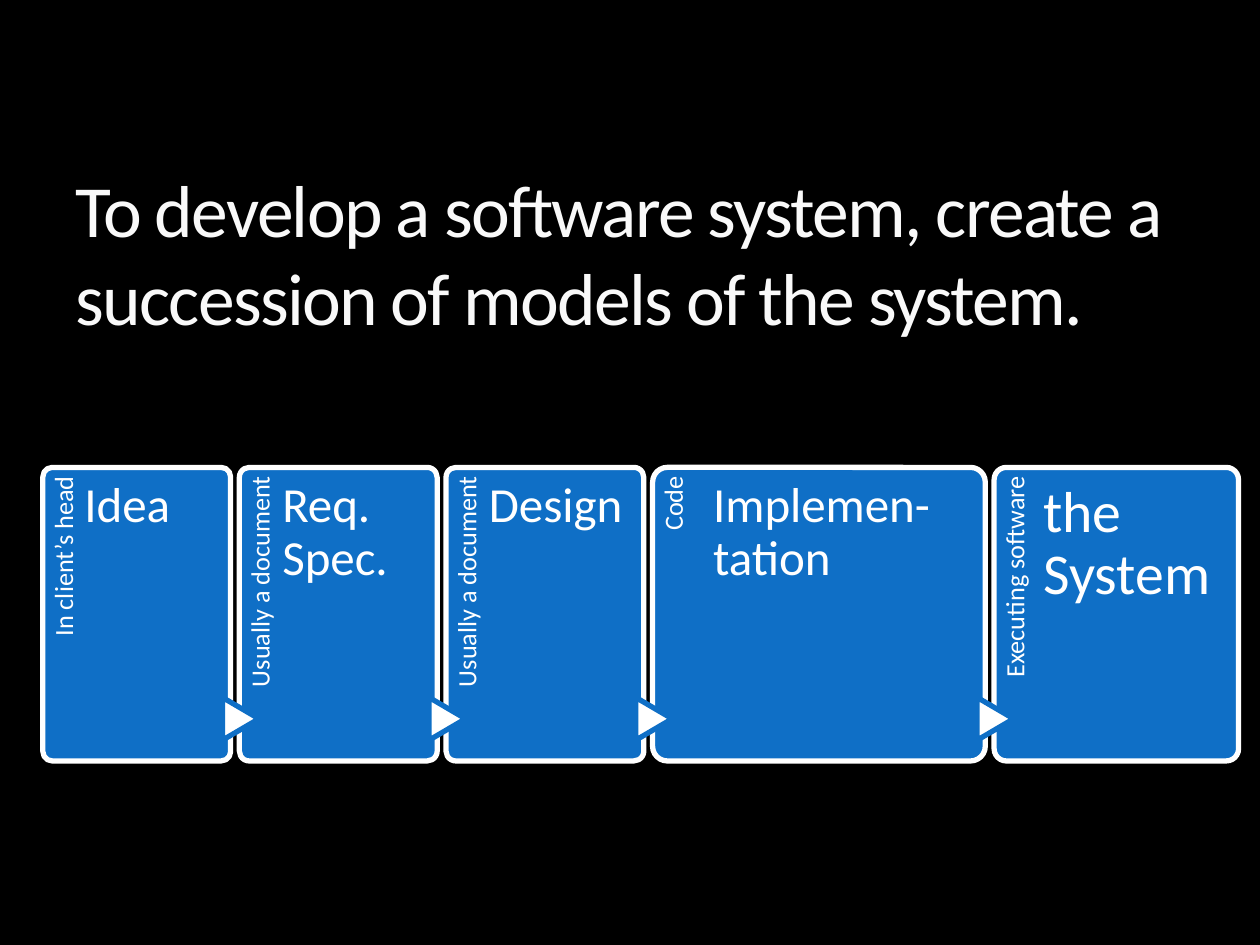
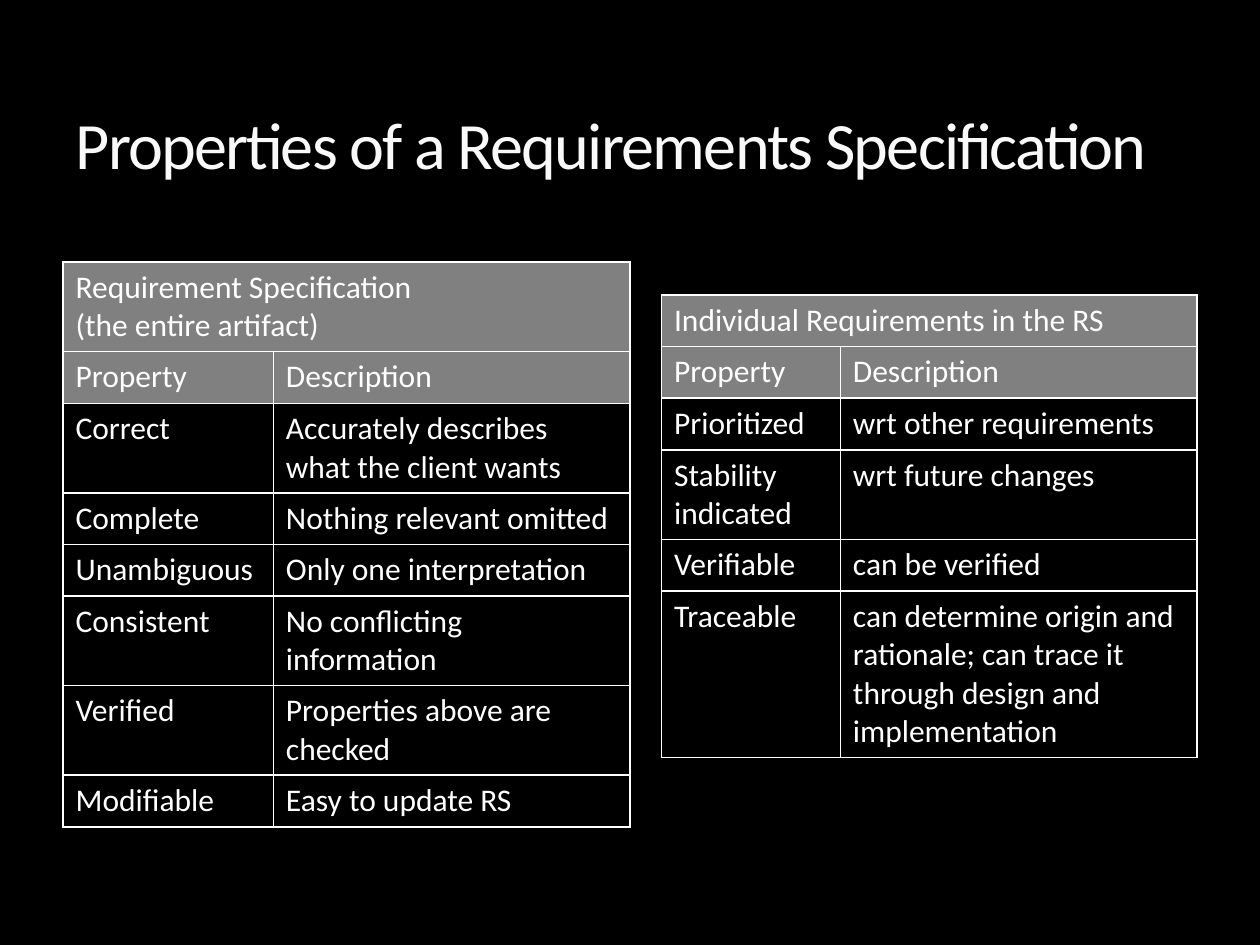
from dataclasses import dataclass

import lxml.etree
import pptx
import pptx.dml.color
import pptx.enum.shapes
import pptx.enum.text
import pptx.oxml
import pptx.oxml.ns
import pptx.slide
import pptx.table
import pptx.text.text
import pptx.util

Inches = pptx.util.Inches
Pt = pptx.util.Pt
RGBColor = pptx.dml.color.RGBColor
MSO_SHAPE = pptx.enum.shapes.MSO_SHAPE
PP_ALIGN = pptx.enum.text.PP_ALIGN

BLACK = RGBColor(0x00, 0x00, 0x00)
WHITE = RGBColor(0xFF, 0xFF, 0xFF)
OFF_WHITE = RGBColor(0xF9, 0xF9, 0xF9)
BLUE = RGBColor(0x0F, 0x6F, 0xC6)
TEAL = RGBColor(0x04, 0x56, 0x6D)
GREY = RGBColor(0x80, 0x80, 0x80)
FONT = "Calibri"

STAGE_LEFT, STAGE_TOP, STAGE_HEIGHT, STAGE_GAP = 0.34, 3.71, 2.33, 0.07
LABEL_LENGTH, LABEL_SHARE, NAME_SHARE = 1.91, 0.2, 0.745
ARROW_WIDTH, ARROW_HEIGHT, ARROW_TOP = 0.34, 0.29, 5.56
ROW_HEIGHT = 0.41


@dataclass
class Stage:
    name: str
    form: str
    width: float
    name_offset: float
    size: float = 28
    name_inset: float = 0.1


@dataclass
class PropertyTable:
    heading: str
    left: float
    top: float
    widths: tuple[float, float]
    rows: list[tuple[str, str]]
    last_height: float = ROW_HEIGHT


STAGES = [
    Stage("Idea", "In client’s head", 1.49, 0.33),
    Stage("Req. Spec.", "Usually a document", 1.57, 0.34),
    Stage("Design", "Usually a document", 1.57, 0.34),
    Stage("Implemen-tation", "Code", 2.64, 0.48),
    Stage("the System", "Executing software", 1.94, 0.39, 33, 0.12),
]

TABLES = [
    PropertyTable(
        "Requirement Specification\n(the entire artifact)", 0.5, 2.08, (1.67, 2.83),
        [
            ("Correct", "Accurately describes what the client wants"),
            ("Complete", "Nothing relevant omitted"),
            ("Unambiguous", "Only one interpretation"),
            ("Consistent", "No conflicting information"),
            ("Verified", "Properties above are checked"),
            ("Modifiable", "Easy to update RS"),
        ],
    ),
    PropertyTable(
        "Individual Requirements in the RS", 5.25, 2.34, (1.42, 2.83),
        [
            ("Prioritized", "wrt other requirements"),
            ("Stability indicated", "wrt future changes"),
            ("Verifiable", "can be verified"),
            ("Traceable", "can determine origin and rationale; "
                          "can trace it through design and implementation"),
        ],
        0.81,
    ),
]


def set_font(font: pptx.text.text.Font, size: float, color: RGBColor = WHITE) -> None:
    font.name = FONT
    font.size = Pt(size)
    font.color.rgb = color


def solid_line(tag: str, points: float, color: RGBColor, alpha: int = 100) -> lxml.etree._Element:
    return pptx.oxml.parse_xml(
        f'<a:{tag} {pptx.oxml.ns.nsdecls("a")} w="{int(Pt(points))}"><a:solidFill>'
        f'<a:srgbClr val="{color}"><a:alpha val="{alpha * 1000}"/></a:srgbClr>'
        f'</a:solidFill><a:prstDash val="solid"/></a:{tag}>'
    )


def add_titled_slide(prs: pptx.presentation.Presentation, text: str,
                     height: float, size: float) -> pptx.slide.Slide:
    s = prs.slides.add_slide(prs.slide_layouts.get_by_name("Title Only"))
    sp = s.shapes.title
    sp.left, sp.top, sp.width, sp.height = Inches(0.5), Inches(0.17), Inches(9), Inches(height)
    tf = sp.text_frame
    tf.word_wrap = True
    tf.auto_size = pptx.enum.text.MSO_AUTO_SIZE.NONE
    tf.vertical_anchor = pptx.enum.text.MSO_ANCHOR.BOTTOM
    p = tf.paragraphs[0]
    p.alignment = PP_ALIGN.LEFT
    r = p.add_run()
    r.text = text
    set_font(r.font, size, OFF_WHITE)
    props = r._r.get_or_add_rPr()
    props.set("spc", "-100")
    props.insert(0, solid_line("ln", 0.25, TEAL, 25))
    return s


def add_outlined(s: pptx.slide.Slide, kind: MSO_SHAPE, left: float, top: float, width: float,
                 height: float, fill: RGBColor, line: RGBColor) -> pptx.shapes.autoshape.Shape:
    sp = s.shapes.add_shape(kind, Inches(left), Inches(top), Inches(width), Inches(height))
    sp.shadow.inherit = False
    sp.fill.solid()
    sp.fill.fore_color.rgb = fill
    sp.line.color.rgb = line
    sp.line.width = Pt(3)
    return sp


def add_text(s: pptx.slide.Slide, text: str, left: float, top: float, width: float, height: float,
             size: float, top_inset: float, right_inset: float = 0,
             align: PP_ALIGN = PP_ALIGN.LEFT) -> pptx.shapes.autoshape.Shape:
    sp = s.shapes.add_textbox(Inches(left), Inches(top), Inches(width), Inches(height))
    tf = sp.text_frame
    tf.word_wrap = True
    tf.margin_left = tf.margin_bottom = 0
    tf.margin_top, tf.margin_right = Inches(top_inset), Inches(right_inset)
    p = tf.paragraphs[0]
    p.text = text
    p.alignment = align
    p.line_spacing = 0.9
    set_font(p.font, size)
    return sp


def add_stage(s: pptx.slide.Slide, stage: Stage, left: float, has_arrow: bool) -> None:
    sp = add_outlined(s, MSO_SHAPE.ROUNDED_RECTANGLE, left, STAGE_TOP, stage.width,
                      STAGE_HEIGHT, BLUE, WHITE)
    sp.adjustments[0] = 0.05
    strip = stage.width * LABEL_SHARE
    sp = add_text(s, stage.form, left + (strip - LABEL_LENGTH) / 2,
                  STAGE_TOP + (LABEL_LENGTH - strip) / 2, LABEL_LENGTH, strip,
                  15, 0.06, 0.07, PP_ALIGN.RIGHT)
    sp.rotation = 270
    if has_arrow:
        sp = add_outlined(s, MSO_SHAPE.FLOWCHART_EXTRACT, left - 0.16, ARROW_TOP,
                          ARROW_WIDTH, ARROW_HEIGHT, WHITE, BLUE)
        sp.rotation = 90
    add_text(s, stage.name, left + stage.name_offset, STAGE_TOP, stage.width * NAME_SHARE,
             STAGE_HEIGHT, stage.size, stage.name_inset)


def fill_cell(cell: pptx.table._Cell, text: str, is_header: bool) -> None:
    cell.text = text
    for p in cell.text_frame.paragraphs:
        set_font(p.font, 18)
    if is_header:
        cell.fill.solid()
        cell.fill.fore_color.rgb = GREY
    else:
        cell.fill.background()
    props = cell._tc.get_or_add_tcPr()
    for i, tag in enumerate(("lnL", "lnR", "lnT", "lnB")):
        props.insert(i, solid_line(tag, 1, WHITE))


def add_property_table(s: pptx.slide.Slide, spec_table: PropertyTable) -> None:
    rows = [(spec_table.heading, ""), ("Property", "Description"), *spec_table.rows]
    table = s.shapes.add_table(
        len(rows), 2, Inches(spec_table.left), Inches(spec_table.top),
        Inches(sum(spec_table.widths)), Inches(ROW_HEIGHT * len(rows))).table
    table.first_row = table.horz_banding = False
    for column, width in zip(table.columns, spec_table.widths):
        column.width = Inches(width)
    for i, texts in enumerate(rows):
        table.rows[i].height = Inches(ROW_HEIGHT)
        for j, text in enumerate(texts):
            fill_cell(table.cell(i, j), text, i < 2)
    table.rows[len(rows) - 1].height = Inches(spec_table.last_height)
    table.cell(0, 0).merge(table.cell(0, 1))


def main() -> None:
    prs = pptx.Presentation()
    prs.slide_width, prs.slide_height = Inches(10), Inches(7.5)
    background = prs.slide_master.background.fill
    background.solid()
    background.fore_color.rgb = BLACK

    s = add_titled_slide(
        prs, "To develop a software system, create a succession of models of the system.", 2.58, 42)
    left = STAGE_LEFT
    for i, stage in enumerate(STAGES):
        add_stage(s, stage, left, i > 0)
        left += stage.width + STAGE_GAP

    s = add_titled_slide(prs, "Properties of a Requirements Specification", 1.33, 37.8)
    for property_table in TABLES:
        add_property_table(s, property_table)

    prs.save("out.pptx")


if __name__ == "__main__":
    main()
